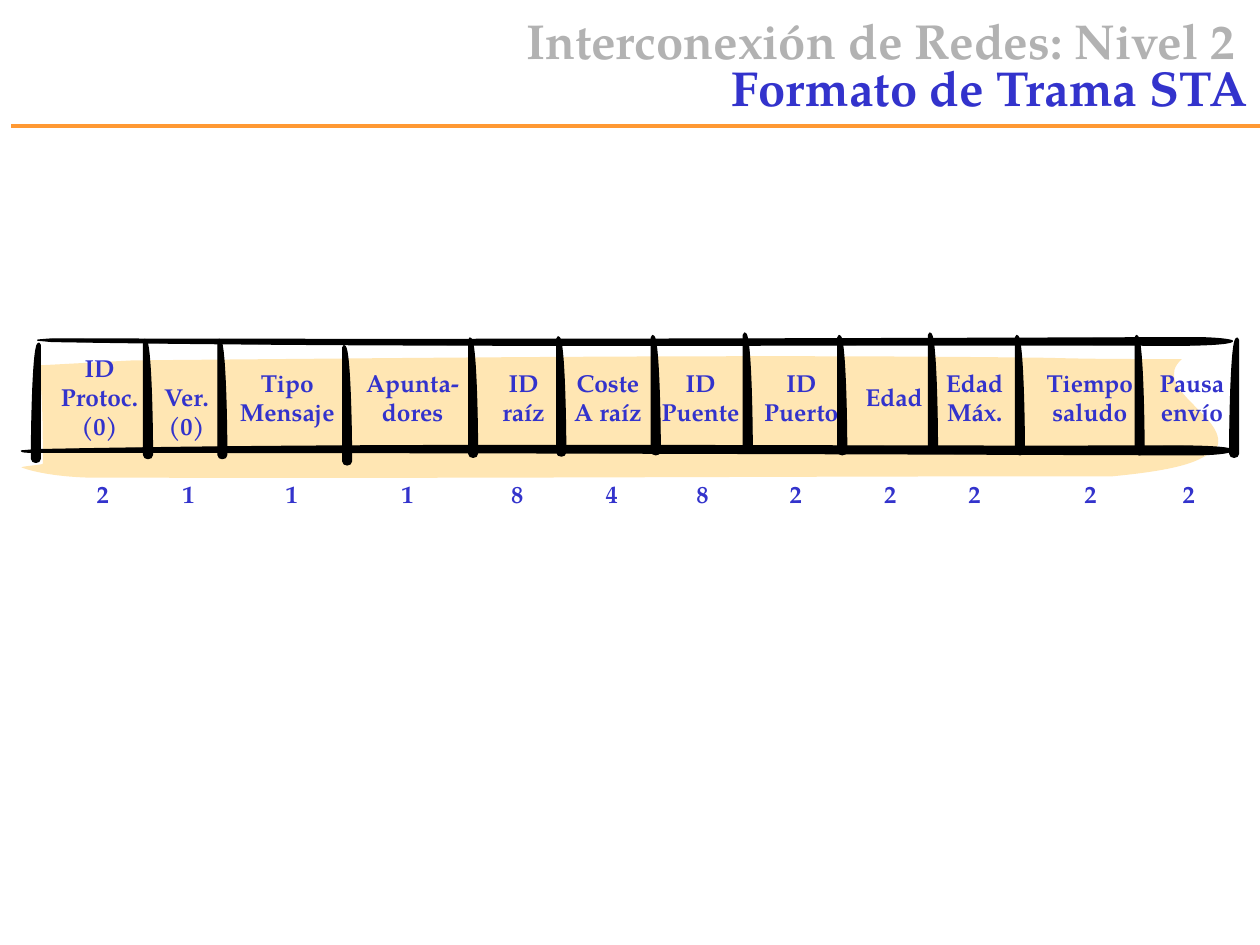
from lxml import etree
from pptx import Presentation
from pptx import util as u
from pptx.dml.color import RGBColor
from pptx.enum import shapes, text
from pptx.oxml import ns

FONT = "TeX Gyre Pagella"
COLORS = {"blue": "3333CC", "gray": "B2B2B2", "orange": "FF9933",
          "sand": "FFE6B3", "ink": "000000"}

# Field lines, label left, top and width, octets, octets left
FIELDS = [
    (["ID", "Protoc.", "(0)"], 0.34, 2.75, 0.90, "2", 0.66),
    (["Ver.", "(0)"], 1.18, 2.98, 0.60, "1", 1.34),
    (["Tipo", "Mensaje"], 1.77, 2.87, 1.02, "1", 2.16),
    (["Apunta-", "dores"], 2.78, 2.87, 0.99, "1", 3.08),
    (["ID", "raíz"], 3.86, 2.87, 0.59, "8", 3.95),
    (["Coste", "A raíz"], 4.43, 2.87, 0.79, "4", 4.70),
    (["ID", "Puente"], 5.12, 2.87, 0.88, "8", 5.42),
    (["ID", "Puerto"], 5.93, 2.87, 0.86, "2", 6.16),
    (["Edad"], 6.75, 2.98, 0.69, "2", 6.91),
    (["Edad", "Máx."], 7.39, 2.87, 0.69, "2", 7.58),
    (["Tiempo", "saludo"], 8.18, 2.87, 0.94, "2", 8.50),
    (["Pausa", "envío"], 9.07, 2.87, 0.78, "2", 9.28),
]

# Left and top of each stroke between fields
DIVIDERS = [(1.14, 2.69), (1.73, 2.69), (2.72, 2.74), (3.72, 2.68),
            (4.42, 2.67), (5.17, 2.66), (5.90, 2.64), (6.65, 2.66),
            (7.37, 2.64), (8.06, 2.66), (9.01, 2.66)]
EDGES = [(0.24, 2.72), (9.75, 2.68)]

# Outlines: a start point, then cubic curves (two handles and an end)
STROKE = [
    (0.02, 0.01),
    (0.06, 0.05), (0.07, 0.70), (0.07, 0.92),
    (0.07, 0.96), (0, 0.96), (0, 0.92),
    (0, 0.70), (0, 0.22), (0, 0.02),
    (0, 0), (0.02, 0), (0.02, 0.01),
]
SHADE = [
    (0.31, 2.90),
    (0.34, 3.16), (0.34, 3.42), (0.34, 3.68),
    (0.34, 3.69), (0.17, 3.70), (0.17, 3.71),
    (0.25, 3.74), (0.42, 3.78), (0.68, 3.79),
    (3.44, 3.80), (6.11, 3.78), (8.83, 3.78),
    (9.46, 3.72), (9.55, 3.64), (9.66, 3.55),
    (9.75, 3.31), (9.12, 3.08), (9.38, 2.85),
    (8.95, 2.85), (8.66, 2.85), (8.32, 2.84),
    (5.93, 2.81), (3.44, 2.84), (1.06, 2.86),
]
BOTTOM = [
    (0.28, 3.57),
    (3.24, 3.51), (6.34, 3.55), (9.33, 3.54),
    (9.55, 3.54), (9.75, 3.55), (9.78, 3.57),
    (9.80, 3.59), (9.66, 3.61), (9.47, 3.61),
    (6.45, 3.60), (3.35, 3.59), (0.31, 3.59),
    (0.25, 3.59), (0.17, 3.59), (0.17, 3.58),
]
TOP = [
    (0.41, 2.71),
    (3.33, 2.76), (6.39, 2.73), (9.34, 2.74),
    (9.56, 2.74), (9.75, 2.73), (9.78, 2.71),
    (9.80, 2.70), (9.67, 2.68), (9.47, 2.68),
    (6.50, 2.69), (3.44, 2.70), (0.44, 2.69),
    (0.39, 2.69), (0.30, 2.70), (0.30, 2.70),
]


def color(name):
    return RGBColor.from_string(COLORS[name])


def style_run(run, size, name):
    run.font.name, run.font.size, run.font.bold = FONT, u.Pt(size), True
    run.font.color.rgb = color(name)


def bend_lines(shape):
    """Join every three line segments into one cubic curve."""
    lines = list(shape._element.iter(ns.qn("a:lnTo")))
    for i in range(0, len(lines), 3):
        curve = etree.Element(ns.qn("a:cubicBezTo"))
        lines[i].addprevious(curve)
        for line in lines[i:i + 3]:
            curve.append(line[0])
            line.getparent().remove(line)


def add_brush(page, outline, name, outlined=True):
    points = [(u.Inches(x), u.Inches(y)) for x, y in outline]
    builder = page.shapes.build_freeform(*points[0])
    builder.add_line_segments(points[1:], close=True)
    brush = builder.convert_to_shape()
    bend_lines(brush)
    brush.shadow.inherit = False
    brush.fill.solid()
    brush.fill.fore_color.rgb = color(name)
    if outlined:
        brush.line.color.rgb = color(name)
        brush.line.width = u.Pt(0)
    else:
        brush.line.fill.background()


def add_stroke(page, left, top, mirrored=False):
    outline = [(left + (0.08 - x if mirrored else x), top + y) for x, y in STROKE]
    add_brush(page, outline, "ink")


def add_label(page, lines, left, top, width):
    height = 0.34 + 0.23 * (len(lines) - 1)
    box = page.shapes.add_textbox(u.Inches(left), u.Inches(top),
                                  u.Inches(width), u.Inches(height))
    frame = box.text_frame
    frame.text = "\n".join(lines)
    frame.word_wrap = False
    frame.auto_size = text.MSO_AUTO_SIZE.SHAPE_TO_FIT_TEXT
    for para in frame.paragraphs:
        para.alignment = text.PP_ALIGN.CENTER
        style_run(para.runs[0], 14, "blue")


def add_title(page):
    title = page.shapes.title
    title.left, title.top = u.Inches(1.35), u.Inches(-0.08)
    title.width, title.height = u.Inches(8.65), u.Inches(1.25)
    frame = title.text_frame
    frame.vertical_anchor = text.MSO_ANCHOR.MIDDLE
    frame.auto_size = text.MSO_AUTO_SIZE.NONE
    para = frame.paragraphs[0]
    para.alignment, para.line_spacing = text.PP_ALIGN.RIGHT, 0.8
    para.text = "Interconexión de Redes: Nivel 2 "
    para.add_line_break()
    para.add_run().text = "Formato de Trama STA"
    for run, name in zip(para.runs, ("gray", "blue")):
        style_run(run, 28, name)
    # The break needs the text size too, or it stretches the first line
    line_break = para._p.find(ns.qn("a:br"))
    etree.SubElement(line_break, ns.qn("a:rPr")).set("sz", "2800")


def add_rule(page):
    rule = page.shapes.add_connector(shapes.MSO_CONNECTOR.STRAIGHT, u.Inches(0.09),
                                     u.Inches(1), u.Inches(10), u.Inches(1))
    rule.line.color.rgb = color("orange")
    rule.line.width = u.Pt(2)
    etree.SubElement(rule._element.spPr, ns.qn("a:effectLst"))


def main():
    deck = Presentation()
    deck.slide_width, deck.slide_height = u.Inches(10), u.Inches(7.5)
    page = deck.slides.add_slide(deck.slide_layouts[5])

    # Heading
    add_rule(page)
    add_title(page)

    # Frame background and outer strokes
    add_brush(page, SHADE, "sand", outlined=False)
    for left, top in EDGES:
        add_stroke(page, left, top, mirrored=True)
    add_brush(page, BOTTOM, "ink")
    add_brush(page, TOP, "ink")

    # Field names and their lengths in octets
    for lines, left, top, width, octets, octets_left in FIELDS:
        add_label(page, lines, left, top, width)
        add_label(page, [octets], octets_left, 3.75, 0.31)

    # Strokes between fields
    for left, top in DIVIDERS:
        add_stroke(page, left, top)

    deck.save("out.pptx")


if __name__ == "__main__":
    main()
